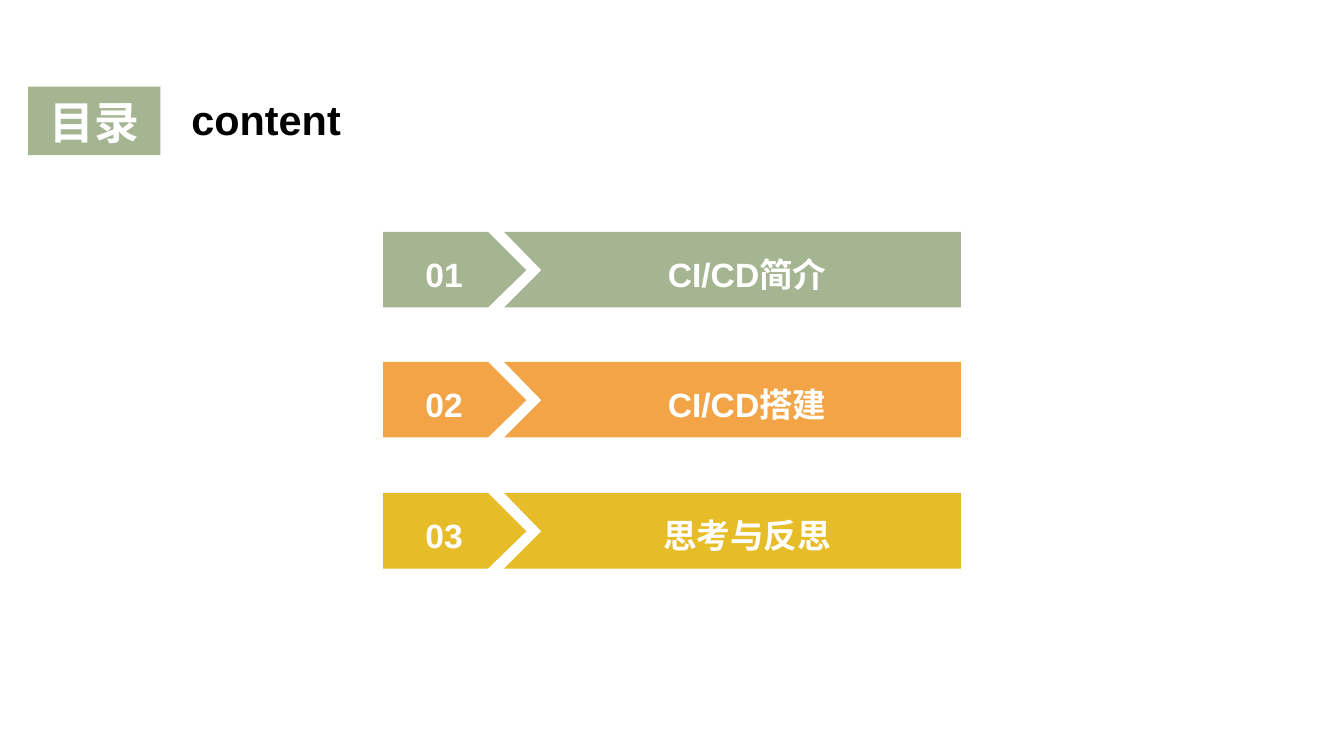
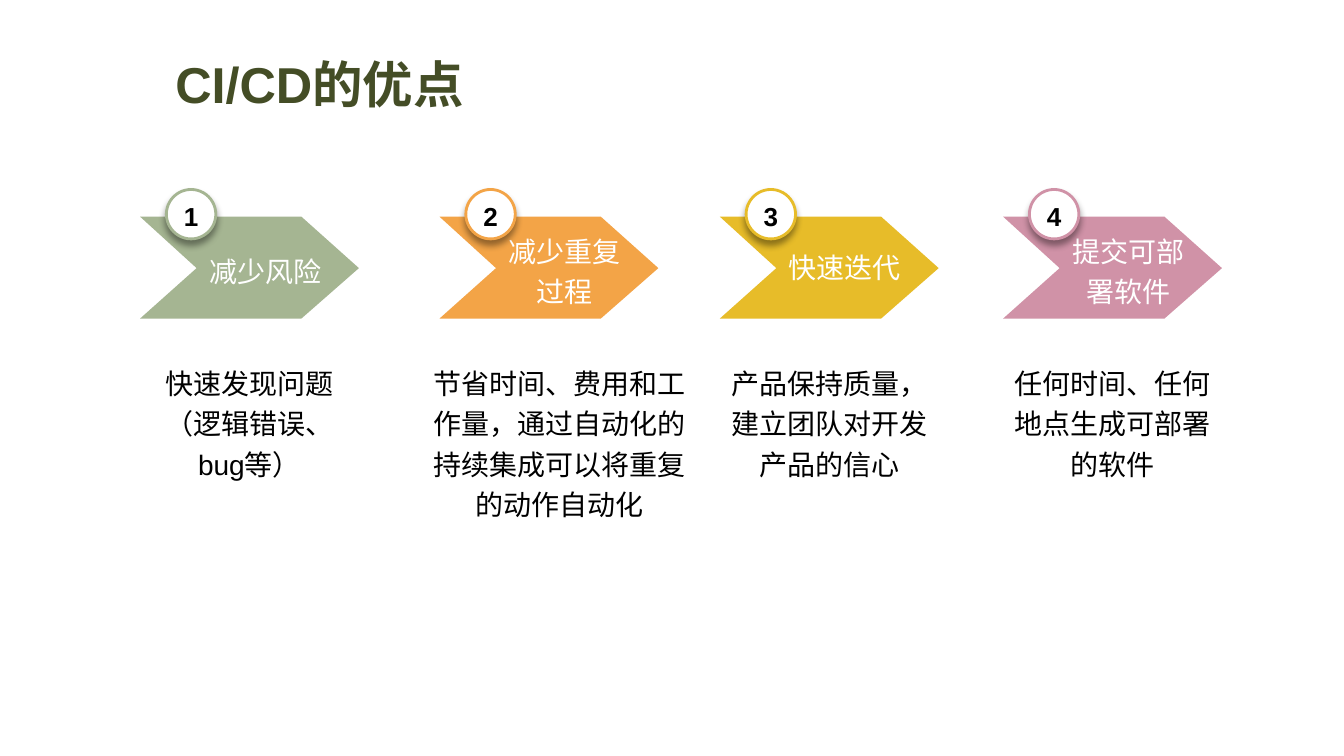
from lxml import etree
from pptx import Presentation
from pptx.dml.color import RGBColor
from pptx.enum.lang import MSO_LANGUAGE_ID
from pptx.enum.shapes import MSO_SHAPE
from pptx.enum.text import MSO_ANCHOR, PP_ALIGN
from pptx.oxml.ns import qn
from pptx.util import Pt

PX = 9144  # 100 px to the inch
SLIDE_WIDTH, SLIDE_HEIGHT = 1333, 750
BLANK_LAYOUT = 6

FONT = "Arial"
CHINESE = MSO_LANGUAGE_ID.SIMPLIFIED_CHINESE
LEFT, CENTER = PP_ALIGN.LEFT, PP_ALIGN.CENTER
TOP, MIDDLE = MSO_ANCHOR.TOP, MSO_ANCHOR.MIDDLE
RECTANGLE, OVAL = MSO_SHAPE.RECTANGLE, MSO_SHAPE.OVAL

WHITE = RGBColor(0xFF, 0xFF, 0xFF)
BLACK = RGBColor(0x00, 0x00, 0x00)
OLIVE = RGBColor(0x44, 0x4D, 0x26)
GREEN = RGBColor(0xA5, 0xB5, 0x92)
ORANGE = RGBColor(0xF3, 0xA4, 0x47)
YELLOW = RGBColor(0xE7, 0xBC, 0x29)
PINK = RGBColor(0xD0, 0x92, 0xA7)

NO_INSETS = (0, 0, 0, 0)
BOX_INSETS = (10, 5, 10, 5)

CHAPTERS = [
    ("01", "CI/CD简介", GREEN),
    ("02", "CI/CD搭建", ORANGE),
    ("03", "思考与反思", YELLOW),
]

# left, colour, heading, heading line spacing, detail, detail left, detail width
BENEFITS = [
    (139, GREEN, "减少风险", 1.2,
     "快速发现问题（逻辑错误、bug等）", 139, 217),
    (436, ORANGE, "减少重复过程", 1.2,
     "节省时间、费用和工作量，通过自动化的持续集成可以将重复的动作自动化", 416, 278),
    (714, YELLOW, "快速迭代", 1.0,
     "产品保持质量，建立团队对开发产品的信心", 714, 217),
    (995, PINK, "提交可部署软件", 1.2,
     "任何时间、任何地点生成可部署的软件", 995, 217),
]


def write(shape, text, size, color, bold=False, align=CENTER, anchor=MIDDLE,
          spacing=1.2, insets=BOX_INSETS):
    frame = shape.text_frame
    frame.text = text
    frame.word_wrap = True
    frame.vertical_anchor = anchor
    (frame.margin_left, frame.margin_top,
     frame.margin_right, frame.margin_bottom) = [inset * PX for inset in insets]
    para = frame.paragraphs[0]
    para.alignment = align
    para.line_spacing = spacing
    font = para.runs[0].font
    font.name = FONT
    font.size = Pt(size)
    font.bold = bold
    font.color.rgb = color
    font.language_id = CHINESE


def paint(shape, color):
    shape.shadow.inherit = False
    shape.fill.solid()
    shape.fill.fore_color.rgb = color
    shape.line.fill.background()


def add_preset(page, kind, left, top, width, height, color):
    shape = page.shapes.add_shape(kind, left * PX, top * PX, width * PX, height * PX)
    paint(shape, color)
    return shape


def add_outline(page, points, color):
    """Add a closed polygon through points given in px."""
    builder = page.shapes.build_freeform(*points[0], scale=PX)
    builder.add_line_segments(points[1:], close=True)
    shape = builder.convert_to_shape()
    paint(shape, color)
    return shape


def add_text(page, left, top, width, height, text, size, color, **style):
    box = page.shapes.add_textbox(left * PX, top * PX, width * PX, height * PX)
    write(box, text, size, color, **style)
    return box


def add_drop_shadow(shape):
    effects = shape._element.spPr.find(qn("a:effectLst"))
    shadow = etree.SubElement(effects, qn("a:outerShdw"), blurRad=str(Pt(5)),
                              dist=str(Pt(4)), dir="5400000", rotWithShape="0")
    color = etree.SubElement(shadow, qn("a:srgbClr"), val=str(BLACK))
    etree.SubElement(color, qn("a:alpha"), val="40000")


def add_chapter(page, top, number, title, color):
    middle, bottom = top + 38, top + 75
    bar = add_outline(page, [(500, top), (953, top), (953, bottom),
                             (500, bottom), (537, middle)], color)
    write(bar, title, 24, WHITE, bold=True, insets=(39, 5, 10, 5))
    tag = add_outline(page, [(380, top), (484, top), (522, middle),
                             (484, bottom), (380, bottom)], color)
    write(tag, number, 24, WHITE, bold=True, insets=(10, 5, 31, 5))
    page.shapes.add_group_shape([bar, tag])


def add_benefit(page, number, left, color, heading, spacing, detail,
                detail_left, detail_width):
    top, middle, bottom = 215, 266, 316
    arrow = add_outline(page, [(left, top), (left + 160, top), (left + 217, middle),
                               (left + 160, bottom), (left, bottom),
                               (left + 56, middle)], color)
    write(arrow, heading, 20, WHITE, spacing=spacing, insets=(59, 0, 28, 0))

    badge = add_preset(page, OVAL, left + 26, 188, 49, 49, WHITE)
    badge.line.color.rgb = color
    badge.line.width = Pt(2)
    add_drop_shadow(badge)
    write(badge, str(number), 18.6, BLACK, bold=True, spacing=1.1, insets=NO_INSETS)

    box = add_text(page, detail_left, 352, detail_width, 156, detail, 20, BLACK,
                   anchor=TOP)
    page.shapes.add_group_shape([arrow, badge, box])


def add_contents_page(deck):
    page = deck.slides.add_slide(deck.slide_layouts[BLANK_LAYOUT])
    label = add_preset(page, RECTANGLE, 28, 86, 131, 68, GREEN)
    write(label, "目录", 32, WHITE, bold=True, spacing=1.1, insets=(10, 0, 10, 5))
    add_text(page, 160, 88, 208, 64, "content", 29.6, BLACK, bold=True,
             anchor=TOP, spacing=1.0)
    for index, chapter in enumerate(CHAPTERS):
        add_chapter(page, 230 + index * 259 // 2, *chapter)


def add_benefits_page(deck):
    page = deck.slides.add_slide(deck.slide_layouts[BLANK_LAYOUT])
    for number, benefit in enumerate(BENEFITS, start=1):
        add_benefit(page, number, *benefit)
    add_text(page, 164, 27, 653, 99, "CI/CD的优点", 36, OLIVE, bold=True, align=LEFT)


def main():
    deck = Presentation()
    deck.slide_width = SLIDE_WIDTH * PX
    deck.slide_height = SLIDE_HEIGHT * PX
    add_contents_page(deck)
    add_benefits_page(deck)
    deck.save("out.pptx")


if __name__ == "__main__":
    main()
